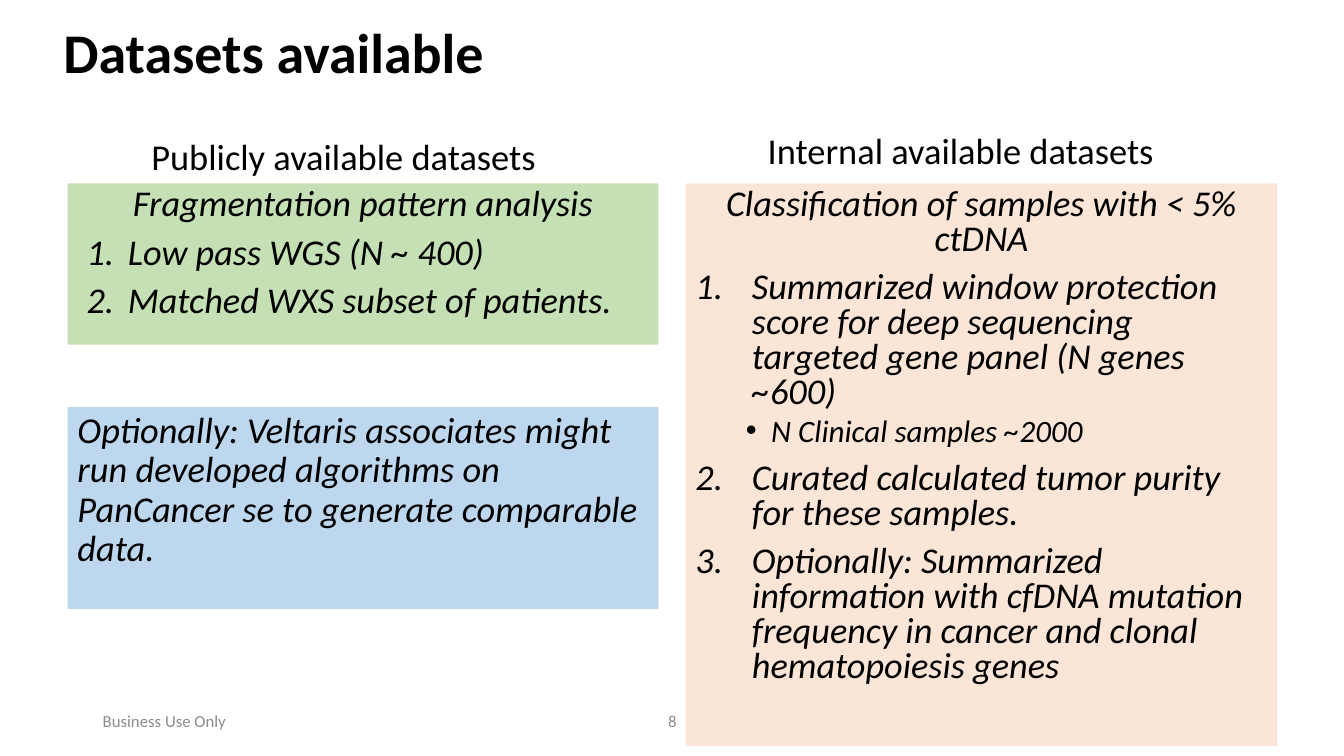
from lxml.etree import SubElement
from pptx import Presentation
from pptx.dml.color import RGBColor
from pptx.enum.shapes import MSO_SHAPE
from pptx.enum.text import MSO_ANCHOR, PP_ALIGN
from pptx.oxml.ns import qn
from pptx.util import Pt

PX = 9144
LEFT, CENTER = PP_ALIGN.LEFT, PP_ALIGN.CENTER
TOP, MIDDLE = MSO_ANCHOR.TOP, MSO_ANCHOR.MIDDLE


def color(hex_code):
    return RGBColor.from_string(hex_code)


def write(paragraph, text, size, align=LEFT, ink="000000", bold=False, italic=False):
    paragraph.text = text
    paragraph.alignment = align
    font = paragraph.font
    font.name = "Calibri"
    font.size = Pt(size)
    font.bold = bold
    font.italic = italic
    font.color.rgb = color(ink)


deck = Presentation()
deck.slide_width = 1333 * PX
deck.slide_height = 750 * PX
slide = deck.slides.add_slide(deck.slide_layouts[6])

labels = [
    ("Datasets available", 53, 10, 1200, 81, 40, LEFT, MIDDLE, "000000", True),
    ("Publicly available datasets", 82, 128, 518, 54, 26, CENTER, TOP, "000000", False),
    ("Internal available datasets", 694, 122, 518, 54, 26, CENTER, TOP, "000000", False),
    ("Business Use Only", 92, 695, 300, 40, 12, LEFT, MIDDLE, "8C8C8C", False),
    ("8", 442, 695, 450, 40, 12, CENTER, MIDDLE, "8C8C8C", False),
]
for text, x, y, width, height, size, align, anchor, ink, bold in labels:
    label = slide.shapes.add_textbox(x * PX, y * PX, width * PX, height * PX).text_frame
    label.word_wrap = True
    label.vertical_anchor = anchor
    write(label.paragraphs[0], text, size, align, ink, bold)

public_items = [
    ("Fragmentation pattern analysis", "heading"),
    ("Low pass WGS (N ~ 400)", "number"),
    ("Matched WXS subset of patients.", "number"),
]
internal_items = [
    ("Classification of samples with < 5% ctDNA", "heading"),
    ("Summarized window protection score for deep sequencing targeted gene panel "
     "(N genes ~600)", "number"),
    ("N Clinical samples ~2000", "bullet"),
    ("Curated calculated tumor purity for these samples.", "number"),
    ("Optionally: Summarized information with cfDNA mutation frequency in cancer "
     "and clonal hematopoiesis genes", "number"),
]
optional_items = [
    ("Optionally: Veltaris associates might run developed algorithms on PanCancer se "
     "to generate comparable data.", "plain"),
]
panels = [
    (67, 182, 586, 160, "C5E0B4", public_items, 25.9, 0.8, 50, 41),
    (680, 182, 587, 558, "FBE5D6", internal_items, 25.9, 0.8, 56, 56),
    (67, 404, 586, 200, "BDD7EE", optional_items, 26, 0.9, 0, 0),
]
for x, y, width, height, fill, items, size, spacing, margin, hanging in panels:
    panel = slide.shapes.add_shape(
        MSO_SHAPE.RECTANGLE, x * PX, y * PX, width * PX, height * PX)
    panel.shadow.inherit = False
    panel.fill.solid()
    panel.fill.fore_color.rgb = color(fill)
    panel.line.fill.background()
    body = panel.text_frame
    body.word_wrap = True
    body.vertical_anchor = TOP
    for index, (text, kind) in enumerate(items):
        paragraph = body.paragraphs[0] if index == 0 else body.add_paragraph()
        properties = paragraph._p.get_or_add_pPr()
        if kind == "number":
            properties.set("marL", str(margin * PX))
            properties.set("indent", str(-hanging * PX))
            SubElement(properties, qn("a:buFont"), typeface="+mj-lt")
            SubElement(properties, qn("a:buAutoNum"), type="arabicPeriod")
        elif kind == "bullet":
            paragraph.level = 1
            properties.set("marL", str(75 * PX))
            properties.set("indent", str(-25 * PX))
            SubElement(properties, qn("a:buFont"), typeface="Arial")
            SubElement(properties, qn("a:buChar"), char="•")
        paragraph.line_spacing = spacing
        if index:
            paragraph.space_before = Pt(5 if kind == "bullet" else 10)
        write(paragraph, text, 22.2 if kind == "bullet" else size,
              CENTER if kind == "heading" else LEFT, italic=True)

deck.save("out.pptx")
